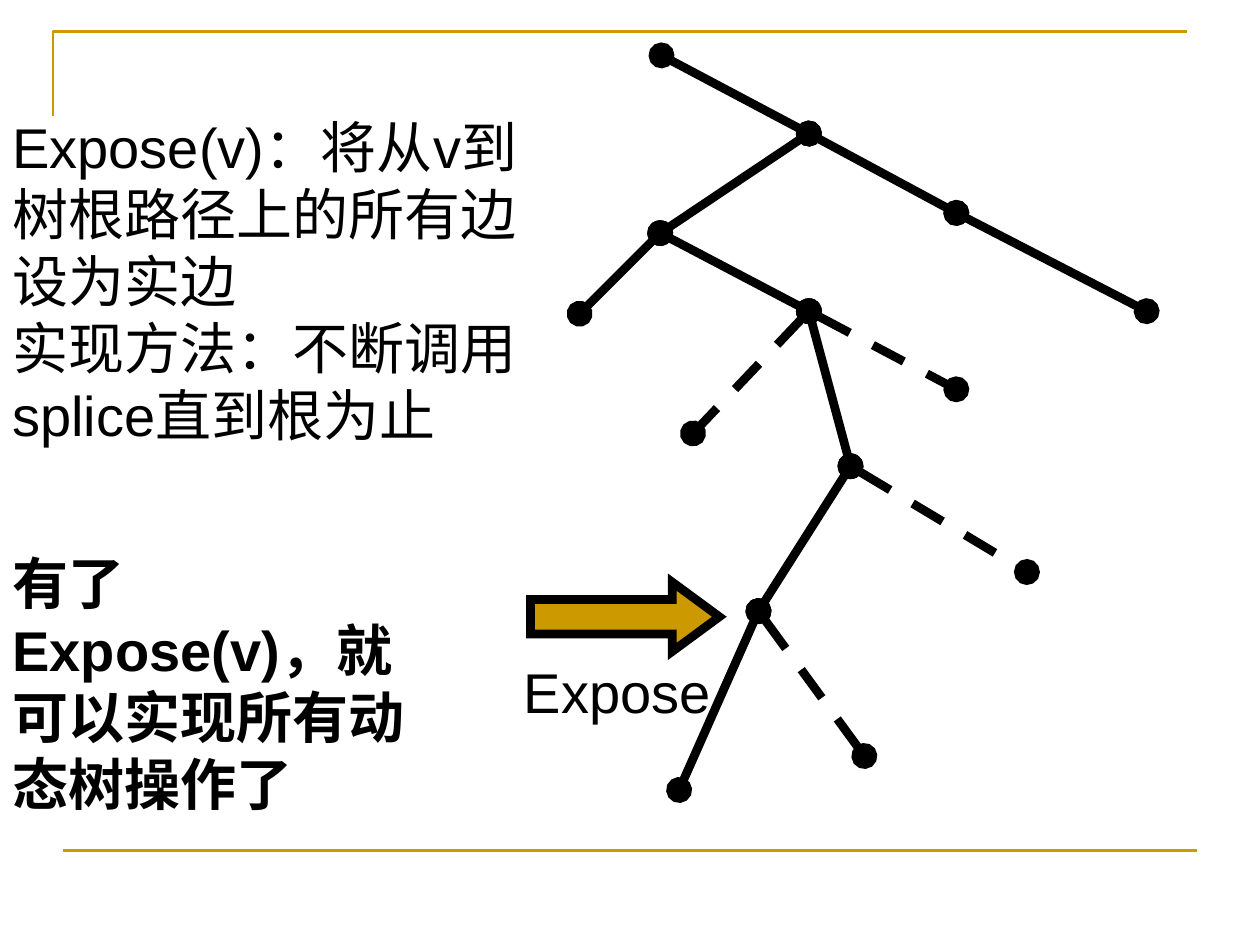
from lxml import etree
from pptx import Presentation
from pptx import util as u
from pptx.dml.color import RGBColor
from pptx.enum import dml, shapes, text
from pptx.oxml.ns import qn

GOLD, BLACK = "CC9900", "000000"

# Tree vertices, named by level from the root down
NODES = {
    "root": (5.25, 0.44),
    "a": (6.42, 1.06),
    "b_left": (5.24, 1.85), "b_right": (7.59, 1.69),
    "c_left": (4.6, 2.49), "c_mid": (6.42, 2.47), "c_right": (9.1, 2.47),
    "d_left": (5.5, 3.44), "d_mid": (6.75, 3.7), "d_right": (7.59, 3.09),
    "e_left": (6.02, 4.85), "e_right": (8.15, 4.54),
    "f_left": (5.39, 6.27), "f_right": (6.86, 6),
}
SOLID_EDGES = [
    ("root", "a"), ("a", "b_left"), ("a", "b_right"), ("b_right", "c_right"),
    ("b_left", "c_left"), ("b_left", "c_mid"), ("c_mid", "d_mid"),
    ("d_mid", "e_left"), ("e_left", "f_left"),
]
DASHED_EDGES = [
    ("c_mid", "d_left"), ("c_mid", "d_right"),
    ("d_mid", "e_right"), ("e_left", "f_right"),
]


def rgb(value):
    return RGBColor.from_string(value)


def set_line(sp, color, width):
    sp.line.color.rgb = rgb(color)
    sp.line.width = u.Pt(width)


def add_line(s, start, end, color, width):
    cx = s.shapes.add_connector(shapes.MSO_CONNECTOR.STRAIGHT,
                                *(u.Inches(v) for v in (*start, *end)))
    set_line(cx, color, width)
    etree.SubElement(cx._element.spPr, qn("a:effectLst"))
    return cx


def add_edge(s, parent, child, dashed=False):
    """Join two vertices; the oval line ends draw the vertices themselves."""
    cx = add_line(s, NODES[parent], NODES[child], BLACK, 5)
    if dashed:
        cx.line.dash_style = dml.MSO_LINE.DASH
    ln = cx.line._get_or_add_ln()
    for end in ("a:headEnd", "a:tailEnd"):
        etree.SubElement(ln, qn(end), type="oval")


def add_frame(s):
    """Corner line at the top left and a rule at the bottom."""
    fb = s.shapes.build_freeform(u.Inches(0.42), u.Inches(0.92))
    fb.add_line_segments([(u.Inches(0.42), u.Inches(0.25)),
                          (u.Inches(9.42), u.Inches(0.25))], close=False)
    sp = fb.convert_to_shape()
    sp.fill.background()
    sp.shadow.inherit = False
    set_line(sp, GOLD, 1.5)
    add_line(s, (0.5, 6.75), (9.5, 6.75), GOLD, 1.5)


def add_arrow(s, *box):
    sp = s.shapes.add_shape(shapes.MSO_SHAPE.RIGHT_ARROW,
                            *(u.Inches(v) for v in box))
    sp.adjustments[0], sp.adjustments[1] = 0.5, 0.68
    sp.shadow.inherit = False
    sp.fill.solid()
    sp.fill.fore_color.rgb = rgb(GOLD)
    set_line(sp, BLACK, 5)
    etree.SubElement(sp.line._get_or_add_ln(), qn("a:miter"), lim="800000")


def add_text(s, box, lines, bold=False):
    sp = s.shapes.add_textbox(*(u.Inches(v) for v in box))
    tf = sp.text_frame
    tf.word_wrap = True
    tf.auto_size = text.MSO_AUTO_SIZE.SHAPE_TO_FIT_TEXT
    for i, line in enumerate(lines):
        p = tf.add_paragraph() if i else tf.paragraphs[0]
        r = p.add_run()
        r.text = line
        r.font.name = "Arial"
        r.font.size = u.Pt(32)
        r.font.bold = bold
        r.font.color.rgb = rgb(BLACK)


def main():
    prs = Presentation()
    prs.slide_width, prs.slide_height = u.Inches(10), u.Inches(7.5)
    s = prs.slides.add_slide(prs.slide_layouts[6])
    add_frame(s)
    for edge in SOLID_EDGES:
        add_edge(s, *edge)
    for edge in DASHED_EDGES:
        add_edge(s, *edge, dashed=True)
    add_arrow(s, 4.21, 4.62, 1.5, 0.55)
    add_text(s, (4.06, 5.17, 2.05, 0.64), ["Expose"])
    add_text(s, (0, 0.84, 4.45, 2.77),
             ["Expose(v)：将从v到树根路径上的所有边设为实边",
              "实现方法：不断调用splice直到根为止"])
    add_text(s, (0, 4.3, 3.58, 2.51),
             ["有了Expose(v)，就可以实现所有动态树操作了"], bold=True)
    prs.save("out.pptx")


if __name__ == "__main__":
    main()
